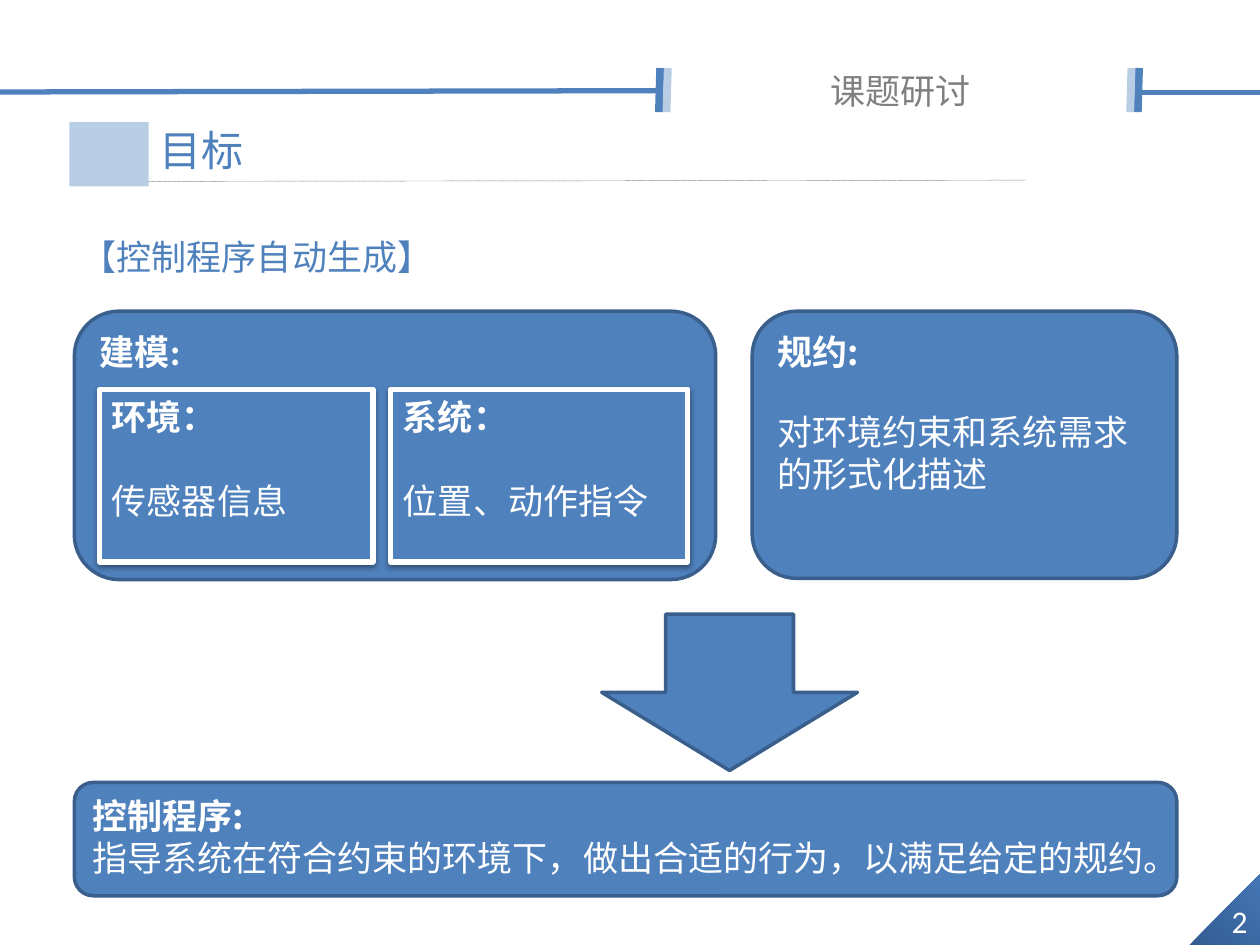
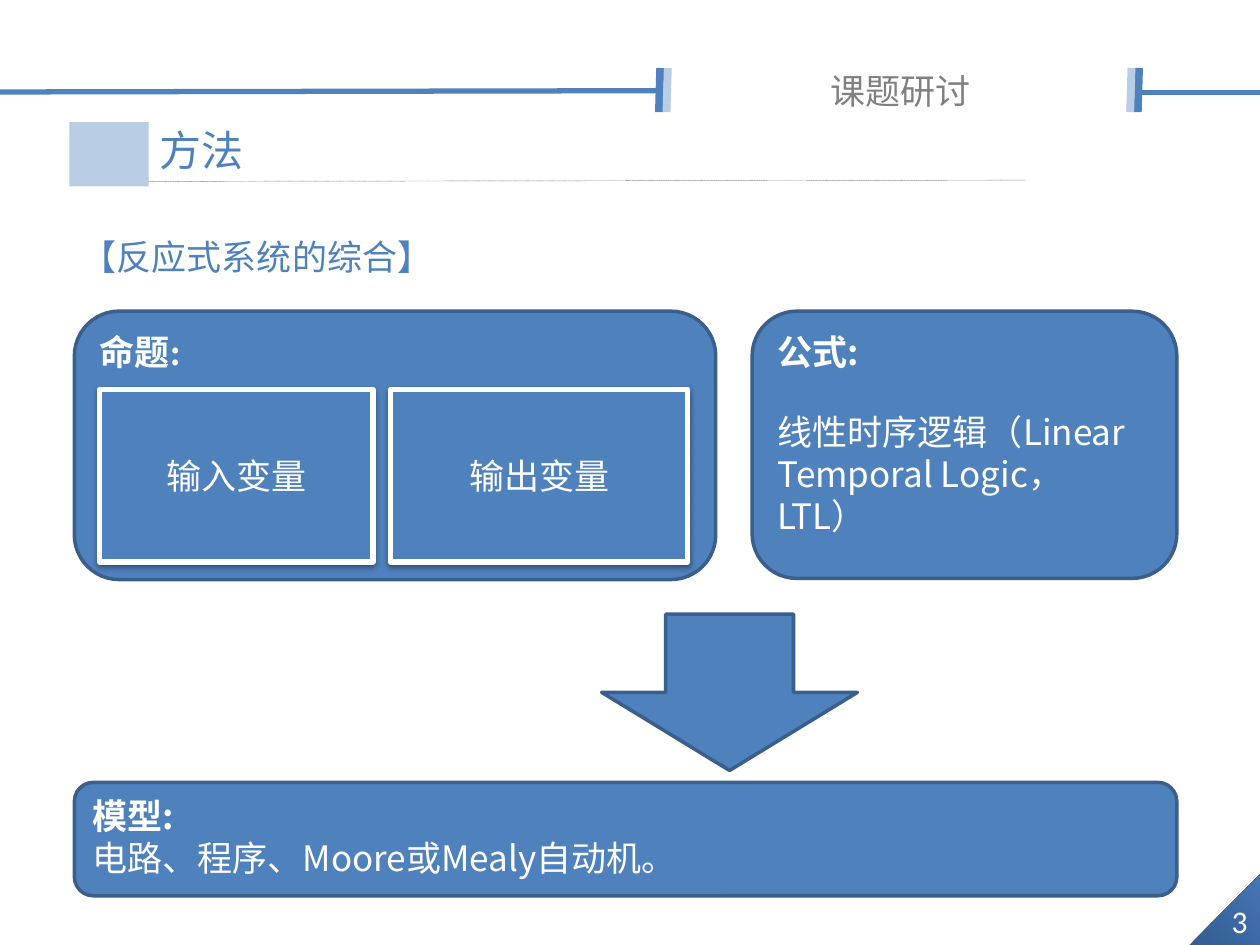
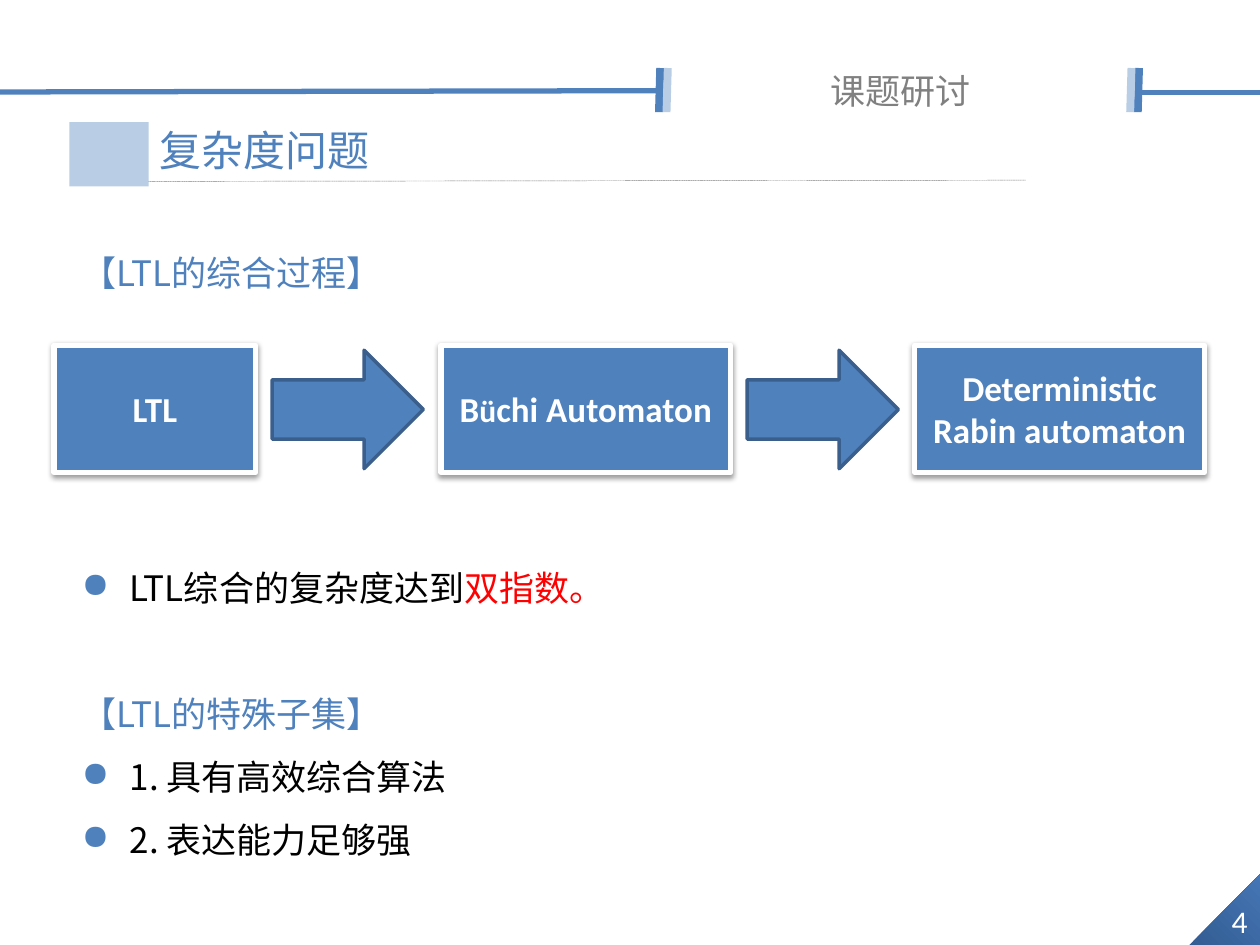
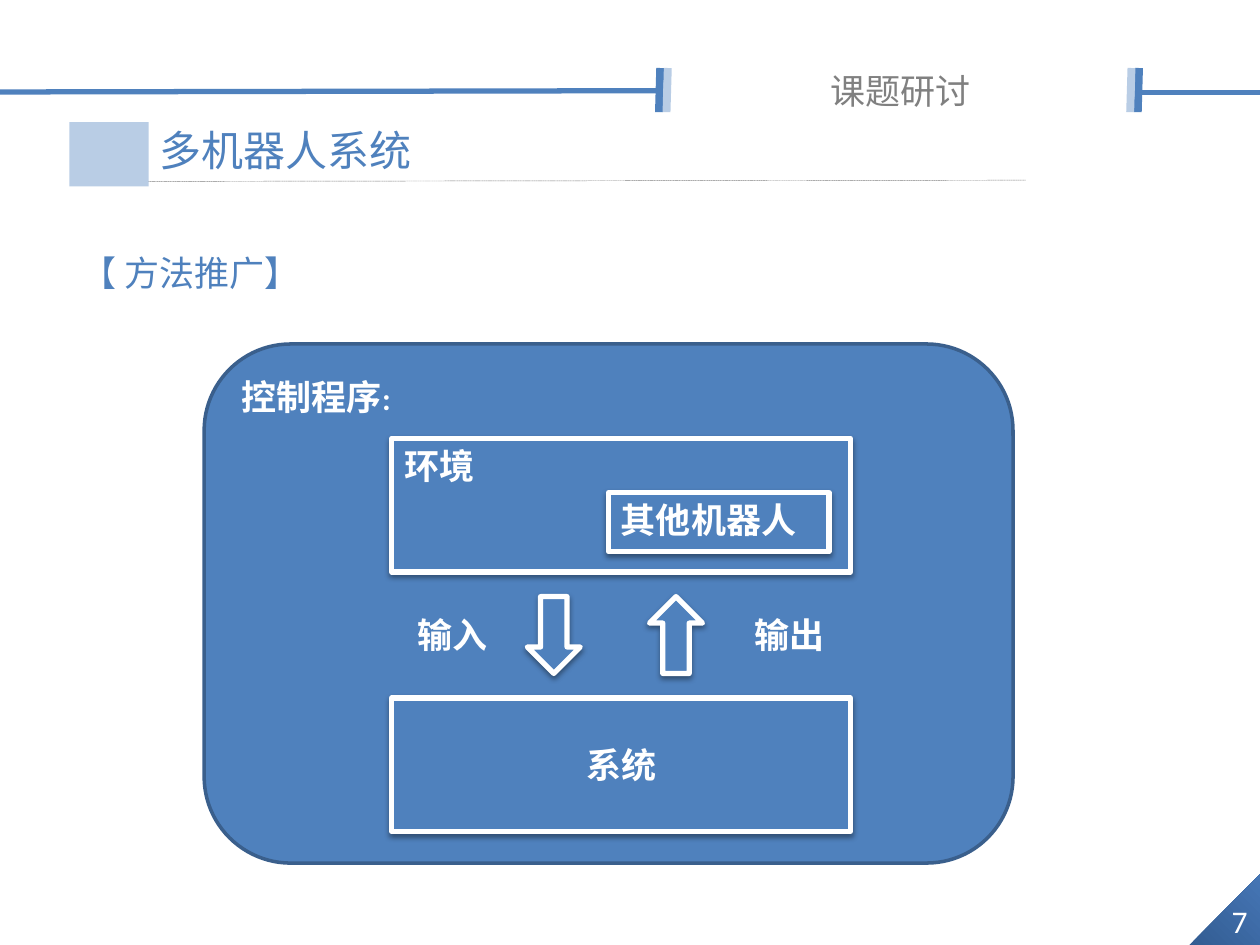
from dataclasses import dataclass

from lxml import etree
from pptx import Presentation
from pptx import util as u
from pptx.dml.color import RGBColor
from pptx.enum import dml, shapes, text
from pptx.oxml.ns import qn

BLUE = RGBColor(0x4F, 0x81, 0xBD)
EDGE = RGBColor(0x3A, 0x5F, 0x8C)
PALE = RGBColor(0xB9, 0xCD, 0xE5)
GRAY = RGBColor(0x80, 0x80, 0x80)
DEEP = RGBColor(0x33, 0x5C, 0x92)
MID = RGBColor(0x45, 0x76, 0xB5)
WHITE = RGBColor(0xFF, 0xFF, 0xFF)
BLACK = RGBColor(0, 0, 0)
RED = RGBColor(0xFF, 0, 0)

SANS = "Noto Sans CJK SC"
LATIN = "Calibri"
COLS, ROWS = 100, 75
CELL = u.Inches(0.1)

KIND = shapes.MSO_SHAPE
LEFT, MID_AL, RIGHT = text.PP_ALIGN.LEFT, text.PP_ALIGN.CENTER, text.PP_ALIGN.RIGHT
TOP, HALF = text.MSO_ANCHOR.TOP, text.MSO_ANCHOR.MIDDLE


@dataclass
class Par:
    bits: list
    bold: bool = False
    ink: RGBColor = WHITE
    size: int = 20
    face: str = SANS
    align: int = LEFT
    lead: float = 1.2
    gap: int = 0
    mark: bool = False


def grid(*cells):
    return [round(cell * CELL) for cell in cells]


def child(node, tag, **attrs):
    return etree.SubElement(node, qn(tag), attrs)


def style(font, par, size, ink):
    font.size, font.bold, font.name = u.Pt(size), par.bold, par.face
    font.color.rgb = ink
    child(font._rPr, "a:ea", typeface=SANS)


def bullet(props):
    props.set("marL", str(u.Inches(0.38)))
    props.set("indent", str(-u.Inches(0.38)))
    child(child(props, "a:buClr"), "a:srgbClr", val=str(BLUE))
    child(props, "a:buChar", char="●")


def write(frame, pars, anchor=TOP):
    frame.word_wrap = True
    frame.vertical_anchor = anchor
    for i, par in enumerate(pars):
        line = frame.add_paragraph() if i else frame.paragraphs[0]
        line.alignment = par.align
        line.line_spacing = u.Pt(par.size * par.lead)
        line.space_before = u.Pt(par.gap)
        if par.mark:
            bullet(line._p.get_or_add_pPr())
        style(line.font, par, par.size, par.ink)
        for words, size, ink in par.bits:
            run = line.add_run()
            run.text = words
            style(run.font, par, size or par.size, ink or par.ink)


def say(words, **look):
    return Par([(words, None, None)], **look)


def label(words, **look):
    return Par([(words, None, None), (":", 18, None)], bold=True, **look)


def note(slide, area, pars, anchor=TOP):
    write(slide.shapes.add_textbox(*grid(*area)).text_frame, pars, anchor)


def block(slide, kind, area, fill=BLUE, edge=None, width=2, turn=0):
    form = slide.shapes.add_shape(kind, *grid(*area))
    form.fill.solid()
    form.fill.fore_color.rgb = fill
    form.shadow.inherit = False
    form.rotation = turn
    if edge is None:
        form.line.fill.background()
    else:
        form.line.color.rgb = edge
        form.line.width = u.Pt(width)
    return form


def card(slide, area, pars):
    form = block(slide, KIND.ROUNDED_RECTANGLE, area, edge=EDGE)
    write(form.text_frame, pars)


def raised(slide, area, pars=(), anchor=HALF, kind=KIND.RECTANGLE, turn=0):
    form = block(slide, kind, area, edge=WHITE, width=3, turn=turn)
    effect = form._element.spPr.find(qn("a:effectLst"))
    cast = child(effect, "a:outerShdw", blurRad=str(u.Pt(3.1)), dist=str(u.Pt(1.6)),
                 dir="5400000", rotWithShape="0")
    child(child(cast, "a:srgbClr", val="000000"), "a:alpha", val="38000")
    write(form.text_frame, pars, anchor)


def arrow(slide, area, turn=0):
    block(slide, KIND.RIGHT_ARROW, area, edge=EDGE, turn=turn)


def rule(slide, ends, ink, width):
    line = slide.shapes.add_connector(shapes.MSO_CONNECTOR.STRAIGHT, *grid(*ends))
    line.line.color.rgb = ink
    line.line.width = u.Pt(width)
    child(line._element.spPr, "a:effectLst")
    return line


def corner(slide, number):
    side = 5.6
    pen = slide.shapes.build_freeform(*grid(COLS - side, ROWS), scale=1.0)
    pen.add_line_segments([grid(COLS, ROWS - side), grid(COLS, ROWS)])
    form = pen.convert_to_shape()
    form.fill.gradient()
    form.fill.gradient_angle = 45
    for stop, ink in zip(form.fill.gradient_stops, (DEEP, MID)):
        stop.color.rgb = ink
    form.line.fill.background()
    form.shadow.inherit = False
    note(slide, (76.7, 71.1, 23.3, 4),
         [say(str(number), size=18, face=LATIN, align=RIGHT)], HALF)


def header(slide, title):
    dots = rule(slide, (10.2, 14.4, 81.4, 14.3), GRAY, 0.25)
    dots.line.dash_style = dml.MSO_LINE.SQUARE_DOT
    block(slide, KIND.RECTANGLE, (5.5, 9.7, 6.3, 5.1), fill=PALE)
    note(slide, (11.7, 9.4, 68.8, 5), [say(title, size=24, ink=BLUE)])
    rule(slide, (90.4, 7.35, COLS, 7.35), BLUE, 3)
    rule(slide, (0, 7.3, 52.3, 7.2), BLUE, 3)
    for x, ink in ((52.4, BLUE), (90.4, BLUE), (53, PALE), (89.8, PALE)):
        rule(slide, (x, 5.4, x - 0.1, 8.9), ink, 4.5)
    note(slide, (53.1, 5, 36.7, 4.4), [say("课题研讨", ink=GRAY, align=MID_AL)])


def start(deck, title, number):
    slide = deck.slides.add_slide(deck.slide_layouts[6])
    corner(slide, number)
    header(slide, title)
    return slide


def topic(words, gap=0):
    return say(words, ink=BLUE, lead=1.8, gap=gap)


def flow(slide, head, model, pair, anchor, rule_name, rest, result):
    note(slide, (5.5, 16.5, 91.8, 5.5), [topic(head)])
    card(slide, (5.9, 24.7, 50.9, 21.3), [label(model)])
    card(slide, (59.7, 24.7, 33.7, 21.2), [say(rule_name, bold=True), say(rest, gap=22)])
    arrow(slide, (51.7, 44.8, 12.4, 20.3), 90)
    card(slide, (5.9, 62.1, 87.5, 9), [say(result[0], bold=True), say(result[1])])
    for (x, width), pars in zip(((7.9, 21.7), (31, 23.6)), pair):
        raised(slide, (x, 30.9, width, 13.7), pars, anchor)


def chain(slide):
    names = (
        (4.3, 16, [("LTL", None, None)]),
        (35, 23, [("B", None, None), ("ü", 18, None), ("chi Automaton", None, None)]),
        (72.6, 23, [("Deterministic Rabin automaton", None, None)]),
    )
    for x, width, bits in names:
        raised(slide, (x, 27.4, width, 10.1),
               [Par(bits, bold=True, face=LATIN, align=MID_AL)])
    for x in (21.6, 59.3):
        arrow(slide, (x, 27.8, 12, 9.4))
    item = dict(ink=BLACK, lead=1.8, mark=True)
    note(slide, (5.5, 17.8, 91.8, 50.9), [
        topic("【LTL的综合过程】"),
        Par([("LTL综合的复杂度达到", None, None), ("双指数。", None, RED)], gap=144, **item),
        topic("【LTL的特殊子集】", 36),
        say("1. 具有高效综合算法", **item),
        say("2. 表达能力足够强", **item),
    ])


def robots(slide):
    strong = dict(bold=True, face=LATIN)
    note(slide, (5.5, 17.8, 91.8, 5.5), [topic("【 方法推广】")])
    card(slide, (16.2, 27.3, 64.2, 41.2), [label("控制程序", face=LATIN)])
    raised(slide, (31.1, 34.8, 36.4, 10.6), [say("环境", **strong)], TOP)
    raised(slide, (31.1, 55.4, 36.4, 10.6), [say("系统", align=MID_AL, **strong)])
    for x, turn in ((40.9, 90), (50.6, 270)):
        raised(slide, (x, 48.3, 6.1, 4.2), kind=KIND.RIGHT_ARROW, turn=turn)
    for x, words in ((31.1, "输入"), (57.9, "输出")):
        form = block(slide, KIND.RECTANGLE, (x, 48, 9.6, 4.7))
        write(form.text_frame, [say(words, align=MID_AL, **strong)], HALF)
    raised(slide, (48.3, 39.1, 17.5, 4.7), [say("其他机器人", **strong)], TOP)


def main():
    deck = Presentation()
    deck.slide_width, deck.slide_height = grid(COLS, ROWS)
    flow(start(deck, "目标", 2), "【控制程序自动生成】", "建模",
         [[say("环境：", bold=True), say("传感器信息", gap=24)],
          [say("系统：", bold=True), say("位置、动作指令", gap=24)]], TOP,
         "规约:", "对环境约束和系统需求的形式化描述",
         ("控制程序:", "指导系统在符合约束的环境下，做出合适的行为，以满足给定的规约。"))
    flow(start(deck, "方法", 3), "【反应式系统的综合】", "命题",
         [[say(words, align=MID_AL)] for words in ("输入变量", "输出变量")], HALF,
         "公式:", "线性时序逻辑（Linear Temporal Logic，LTL）",
         ("模型:", "电路、程序、Moore或Mealy自动机。"))
    chain(start(deck, "复杂度问题", 4))
    robots(start(deck, "多机器人系统", 7))
    deck.save("out.pptx")


if __name__ == "__main__":
    main()
